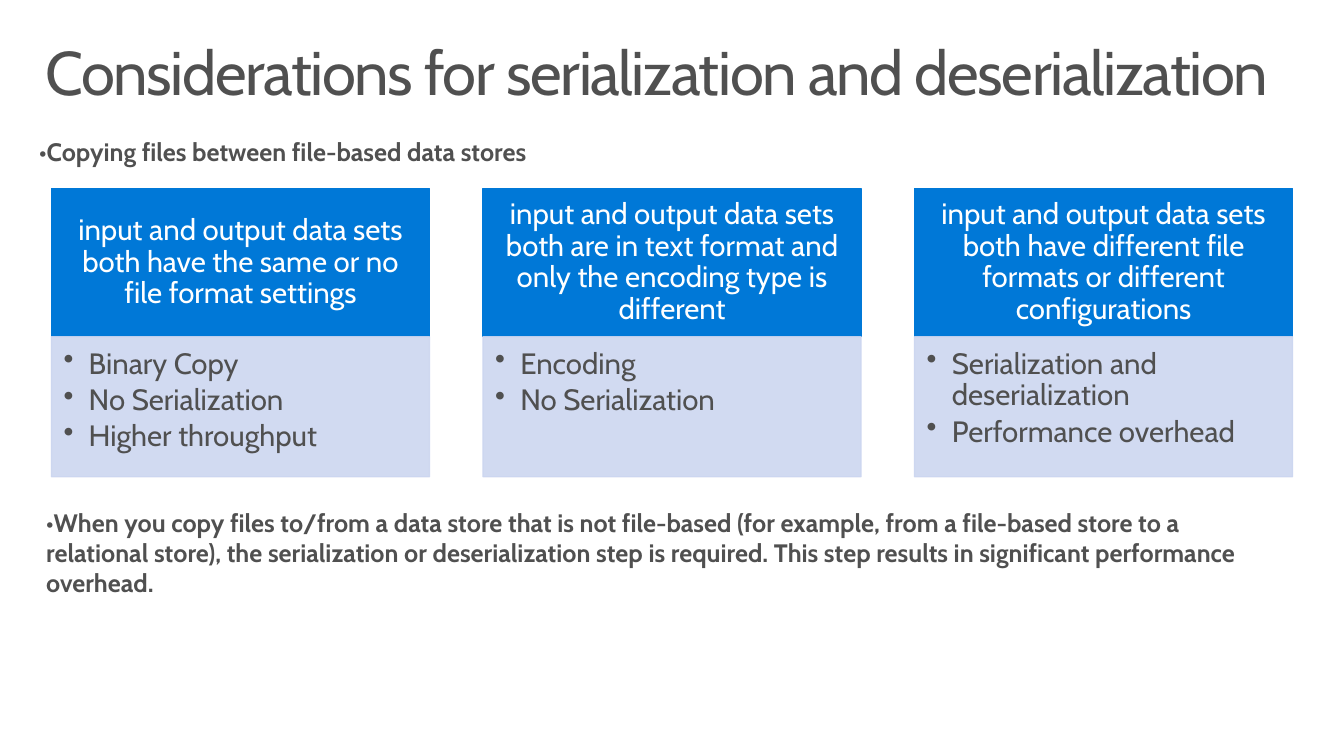
from lxml import etree
from pptx import Presentation
from pptx.dml.color import RGBColor
from pptx.enum import shapes, text
from pptx.oxml.ns import qn
from pptx.util import Inches, Pt

FONT = "Cabin"
GRAY = RGBColor(0x50, 0x50, 0x50)
WHITE = RGBColor(0xFF, 0xFF, 0xFF)
BLUE = RGBColor(0x00, 0x78, 0xD7)
PALE_BLUE = RGBColor(0xCC, 0xD6, 0xF0)

COLUMN_LEFT, COLUMN_STEP, COLUMN_WIDTH = 0.51, 4.28, 3.75
HEADER_TOP, HEADER_HEIGHT, PANEL_HEIGHT = 1.87, 1.47, 1.39

COLUMNS = [
    ("input and output data sets both have the same or no file format settings",
     ["Binary Copy", "No Serialization", "Higher throughput"]),
    ("input and output data sets both are in text format and only the encoding type is different",
     ["Encoding", "No Serialization"]),
    ("input and output data sets both have different file formats or different configurations",
     ["Serialization and deserialization", "Performance overhead"]),
]


def add_bullet(para, indent=0.25):
    properties = para._p.get_or_add_pPr()
    properties.set("marL", str(Inches(indent)))
    properties.set("indent", str(-Inches(indent)))
    etree.SubElement(properties, qn("a:buChar")).set("char", "•")


def write(shape, lines, size, color=GRAY, bold=False, align=text.PP_ALIGN.LEFT,
          anchor=text.MSO_ANCHOR.TOP, insets=(0.1, 0.05, 0.1, 0.05),
          line_spacing=1.0, space_after=0, tracking=None, bullets=False):
    """Fill a shape with one paragraph per line; insets are left, top, right, bottom."""
    frame = shape.text_frame
    frame.word_wrap = True
    frame.vertical_anchor = anchor
    (frame.margin_left, frame.margin_top,
     frame.margin_right, frame.margin_bottom) = map(Inches, insets)
    for index, line in enumerate(lines):
        para = frame.add_paragraph() if index else frame.paragraphs[0]
        para.alignment = align
        para.line_spacing = line_spacing
        para.space_after = Pt(space_after)
        if bullets:
            add_bullet(para)
        span = para.add_run()
        span.text = line
        span.font.name = FONT
        span.font.size = Pt(size)
        span.font.bold = bold
        span.font.color.rgb = color
        if tracking is not None:
            span._r.get_or_add_rPr().set("spc", str(int(tracking * 100)))


def add_text(page, left, top, width, height, content, **style):
    box = page.shapes.add_textbox(Inches(left), Inches(top), Inches(width), Inches(height))
    write(box, [content], **style)


def add_block(page, left, top, height, color, opacity=100):
    block = page.shapes.add_shape(shapes.MSO_SHAPE.RECTANGLE, Inches(left), Inches(top),
                                  Inches(COLUMN_WIDTH), Inches(height))
    block.shadow.inherit = False
    block.fill.solid()
    block.fill.fore_color.rgb = color
    block.line.color.rgb = color
    block.line.width = Pt(0.85)
    if opacity < 100:
        for tint in block._element.spPr.iter(qn("a:srgbClr")):
            etree.SubElement(tint, qn("a:alpha")).set("val", str(opacity * 1000))
    return block


def add_column(page, left, heading, points):
    header = add_block(page, left, HEADER_TOP, HEADER_HEIGHT, BLUE)
    write(header, [heading], size=21, color=WHITE, align=text.PP_ALIGN.CENTER,
          anchor=text.MSO_ANCHOR.MIDDLE, insets=(0.16, 0.09, 0.16, 0.09), line_spacing=0.9)
    panel = add_block(page, left, HEADER_TOP + HEADER_HEIGHT, PANEL_HEIGHT, PALE_BLUE, opacity=90)
    write(panel, points, size=21, insets=(0.12, 0.12, 0.16, 0.18),
          line_spacing=0.9, space_after=3.15, bullets=True)


def main():
    deck = Presentation()
    deck.slide_width, deck.slide_height = Inches(13.33), Inches(7.5)
    page = deck.slides.add_slide(deck.slide_layouts[6])

    add_text(page, 0.29, 0.32, 12.75, 0.98,
             "Considerations for serialization and deserialization",
             size=44, insets=(0.16, 0.1, 0.16, 0.1), line_spacing=0.9, tracking=-1)
    for index, (heading, points) in enumerate(COLUMNS):
        add_column(page, COLUMN_LEFT + index * COLUMN_STEP, heading, points)
    add_text(page, 0.29, 1.3, 5.55, 0.4,
             "•Copying files between file-based data stores", size=18, bold=True)
    add_text(page, 0.36, 4.98, 12.47, 1.01,
             "•When you copy files to/from a data store that is not file-based (for example, "
             "from a file-based store to a relational store), the serialization or "
             "deserialization step is required. This step results in significant "
             "performance overhead.", size=18, bold=True)

    deck.save("out.pptx")


if __name__ == "__main__":
    main()
